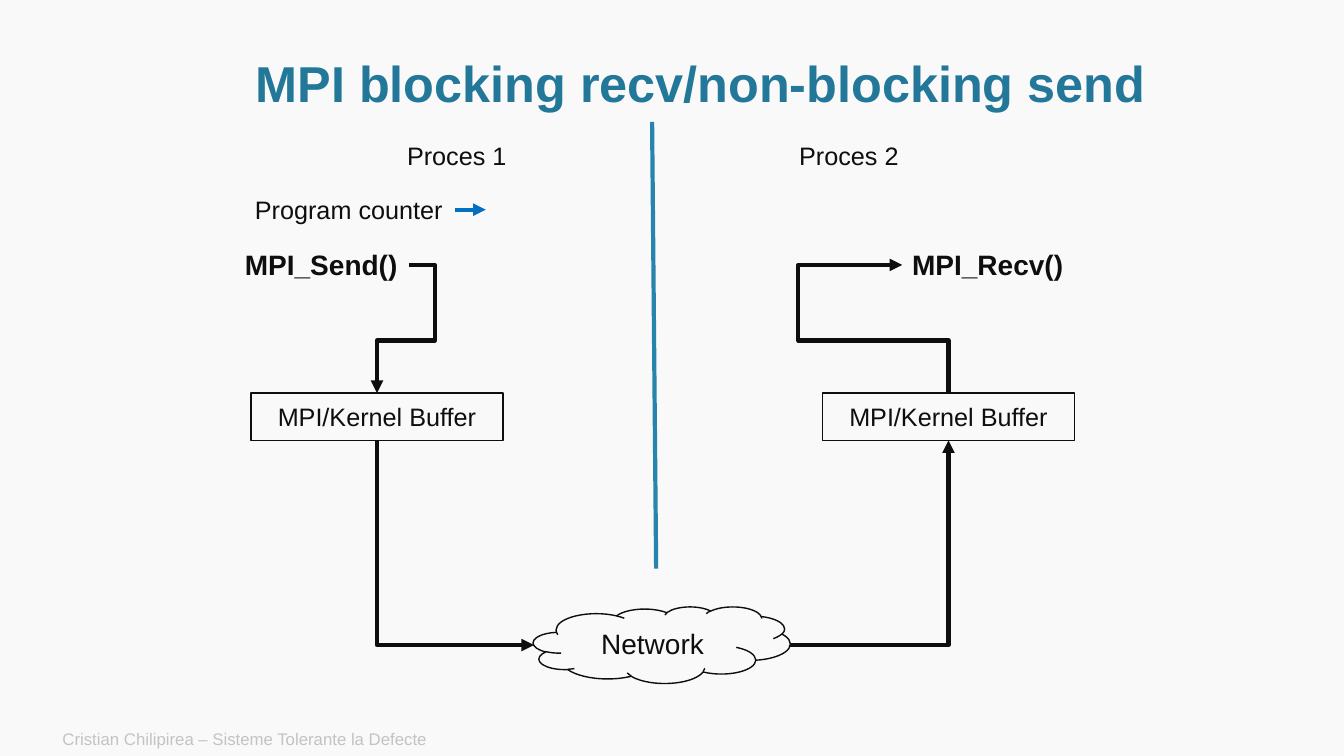
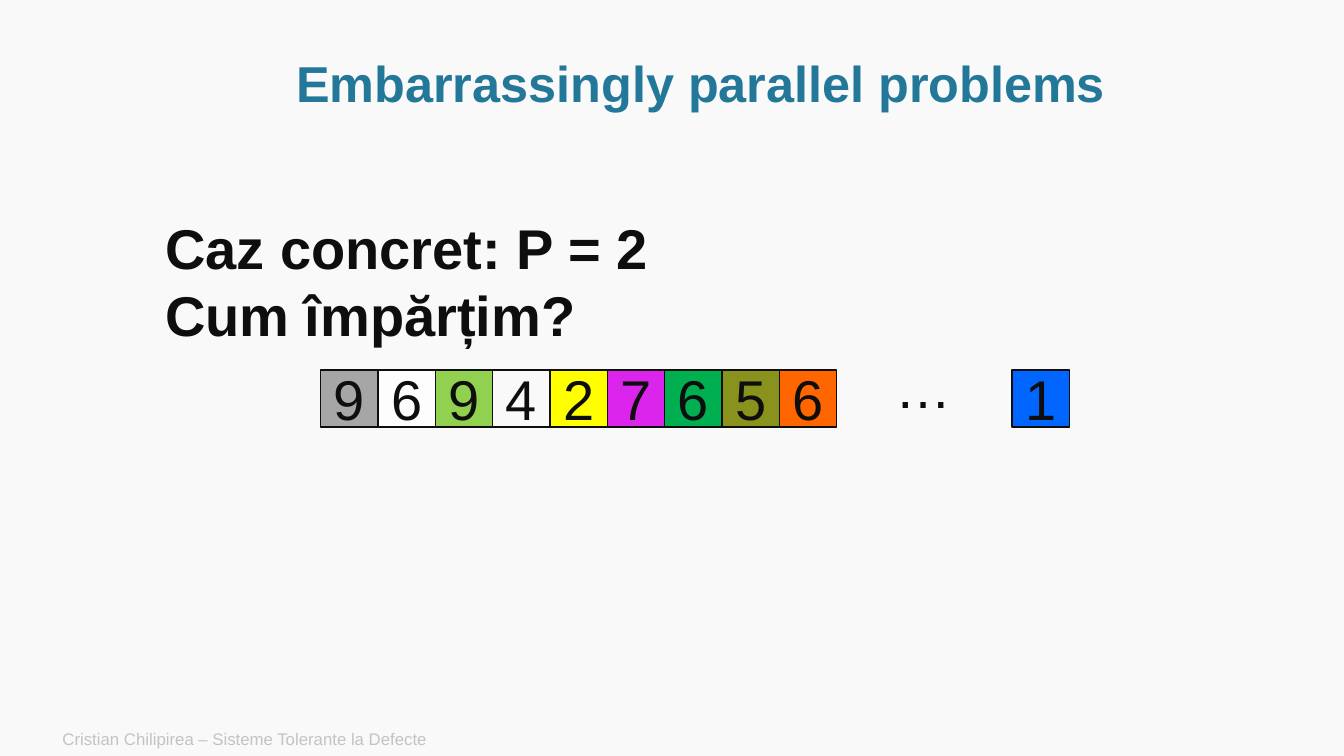
from pptx import Presentation
from pptx import util as u
from pptx.dml.color import RGBColor
from pptx.enum import shapes, text
from pptx.oxml.ns import qn
from lxml import etree

FONT = "Arial"
INK, TITLE, DIVIDER = "0E0E0E", "237798", "2785AD"
BACKGROUND, FOOTER, COUNTER = "F9F9F9", "C3C3C3", "0070C0"
TOP, LEFT, BOTTOM, RIGHT = range(4)
CLOUD_RIGHT, CLOUD_LEFT = 0, 2
FOOTER_TEXT = "Cristian Chilipirea – Sisteme Tolerante la Defecte"
CELL_SIZE, CELL_TOP = 40.95, 264.2
CELLS = [("9", "A6A6A6"), ("6", "FDFDFD"), ("9", "92D050"), ("4", None),
         ("2", "FFFF00"), ("7", "DB25ED"), ("6", "00B050"), ("5", "8A921E"),
         ("6", "FF6600")]


def rgb(value):
    """Turn a hex string into a colour."""
    return RGBColor.from_string(value)


def points(*values):
    """Turn numbers of points into lengths."""
    return [u.Pt(value) for value in values]


def write(shape, content, size, color=INK, bold=False, align=None):
    """Put text in a shape and format its runs."""
    shape.text_frame.text = content
    for paragraph in shape.text_frame.paragraphs:
        if align is not None:
            paragraph.alignment = align
        for run in paragraph.runs:
            run.font.name = FONT
            run.font.size = u.Pt(size)
            run.font.bold = bold
            run.font.color.rgb = rgb(color)


def add_label(slide, box, content, size, bold=False, wrap=False):
    """Add a text box that grows with its text."""
    label = slide.shapes.add_textbox(*points(*box))
    write(label, content, size, bold=bold)
    label.text_frame.word_wrap = wrap
    label.text_frame.auto_size = text.MSO_AUTO_SIZE.SHAPE_TO_FIT_TEXT
    return label


def add_block(slide, box, content, size, fill=None, kind=shapes.MSO_SHAPE.RECTANGLE):
    """Add an outlined shape with centred text."""
    block = slide.shapes.add_shape(kind, *points(*box))
    block.shadow.inherit = False
    if fill:
        block.fill.solid()
        block.fill.fore_color.rgb = rgb(fill)
    else:
        block.fill.background()
    block.line.color.rgb = rgb(INK)
    block.line.width = u.Pt(1)
    write(block, content, size, align=text.PP_ALIGN.CENTER)
    block.text_frame.vertical_anchor = text.MSO_ANCHOR.MIDDLE
    return block


def style_line(connector, color, arrow=True):
    """Format a connector, without shadow, with an optional arrowhead."""
    connector.line.color.rgb = rgb(color)
    connector.line.width = u.Pt(3)
    properties = connector._element.spPr
    if arrow:
        etree.SubElement(properties.get_or_add_ln(), qn("a:tailEnd"), type="triangle")
    etree.SubElement(properties, qn("a:effectLst"))


def add_line(slide, ends, color, arrow=True):
    """Add a straight connector."""
    line = slide.shapes.add_connector(shapes.MSO_CONNECTOR.STRAIGHT, *points(*ends))
    style_line(line, color, arrow)
    return line


def add_elbow(slide, start, end, frame, preset, turn=0, flip="", bends=()):
    """Join two (shape, site) pairs with a bent arrow laid out in a frame."""
    elbow = slide.shapes.add_connector(shapes.MSO_CONNECTOR.ELBOW, 0, 0, 0, 0)
    elbow.begin_connect(*start)
    elbow.end_connect(*end)
    elbow.left, elbow.top, elbow.width, elbow.height = points(*frame)
    properties = elbow._element.spPr
    transform = properties.find(qn("a:xfrm"))
    transform.rot = turn
    transform.flipH, transform.flipV = flip == "h", flip == "v"
    geometry = properties.find(qn("a:prstGeom"))
    geometry.set("prst", preset)
    guides = geometry.find(qn("a:avLst"))
    for number, bend in enumerate(bends, 1):
        etree.SubElement(guides, qn("a:gd"), name=f"adj{number}",
                         fmla=f"val {round(bend * 100000)}")
    style_line(elbow, INK)


def prepare_template(presentation):
    """Set the size, background and title place, and return the layout."""
    presentation.slide_width, presentation.slide_height = points(960, 540)
    fill = presentation.slide_master.background.fill
    fill.solid()
    fill.fore_color.rgb = rgb(BACKGROUND)
    layout = presentation.slide_layouts[5]
    title = layout.placeholders[0]
    title.left, title.top, title.width, title.height = points(82, 36.7, 837.4, 49.7)
    return layout


def add_slide(presentation, layout, heading):
    """Add a slide with its title and footer."""
    slide = presentation.slides.add_slide(layout)
    title = slide.shapes.title
    write(title, heading, 36, TITLE, True, text.PP_ALIGN.CENTER)
    title.text_frame.vertical_anchor = text.MSO_ANCHOR.MIDDLE
    title.text_frame.paragraphs[0].line_spacing = 0.9
    footer = slide.shapes.add_textbox(*points(37.5, 515.5, 605, 24.5))
    write(footer, FOOTER_TEXT, 12, FOOTER)
    footer.text_frame.word_wrap = True
    footer.text_frame.vertical_anchor = text.MSO_ANCHOR.MIDDLE
    return slide


def build_messages(slide):
    """Draw the path of a message between two processes."""
    send = add_label(slide, (167.8, 173.5, 124.6, 31.5), "MPI_Send()", 20, bold=True)
    receive = add_label(slide, (644.4, 173.5, 123.1, 31.5), "MPI_Recv()", 20, bold=True)
    add_line(slide, (468.7, 406.1, 465.8, 87.1), DIVIDER, arrow=False)
    for name, left in (("Proces 1", 283.7), ("Proces 2", 563.8)):
        add_label(slide, (left, 96.5, 86.4, 29), name, 18)
    sender, receiver = [
        add_block(slide, (left, 280.8, 180, 33.8), "MPI/Kernel Buffer", 18)
        for left in (179.3, 587.5)]
    network = add_block(slide, (380.9, 433.4, 183.6, 54.7), "Network", 20,
                        kind=shapes.MSO_SHAPE.CLOUD)
    add_elbow(slide, (send, RIGHT), (sender, TOP), (269.3, 189.3, 23.1, 91.5),
              "bentConnector4", flip="h", bends=(-0.79, 0.59))
    add_elbow(slide, (sender, BOTTOM), (network, CLOUD_LEFT), (252.3, 331.6, 146.2, 112.2),
              "bentConnector2", turn=270, flip="h")
    add_elbow(slide, (network, CLOUD_RIGHT), (receiver, BOTTOM), (564.1, 314.6, 113.4, 146.2),
              "bentConnector2", flip="v")
    add_elbow(slide, (receiver, TOP), (receive, LEFT), (615.2, 218.5, 91.5, 33.1),
              "bentConnector4", turn=270, flip="v", bends=(0.41, 3.24))
    counter = add_label(slide, (175, 135.2, 149.7, 29.2), "Program counter", 18)
    pointer = add_line(slide, (324.7, 149.8, 347, 149.8), COUNTER)
    pointer.begin_connect(counter, RIGHT)


def build_numbers(slide):
    """Draw the row of numbers to be divided."""
    for index, (number, fill) in enumerate(CELLS):
        left = 229 + index * CELL_SIZE
        add_block(slide, (left, CELL_TOP, CELL_SIZE, CELL_SIZE), number, 40, fill)
    add_block(slide, (722.9, CELL_TOP, CELL_SIZE, CELL_SIZE), "1", 40, "0066FF")
    add_label(slide, (110.9, 149, 446.4, 104.4), "Caz concret: P = 2\nCum împărțim?",
              40, bold=True, wrap=True)
    add_label(slide, (632.9, 248.4, 54.7, 55.4), "…", 40)


def main():
    """Build and save the presentation."""
    presentation = Presentation()
    layout = prepare_template(presentation)
    build_messages(add_slide(presentation, layout, "MPI blocking recv/non-blocking send"))
    build_numbers(add_slide(presentation, layout, "Embarrassingly parallel problems"))
    presentation.save("out.pptx")


if __name__ == "__main__":
    main()
